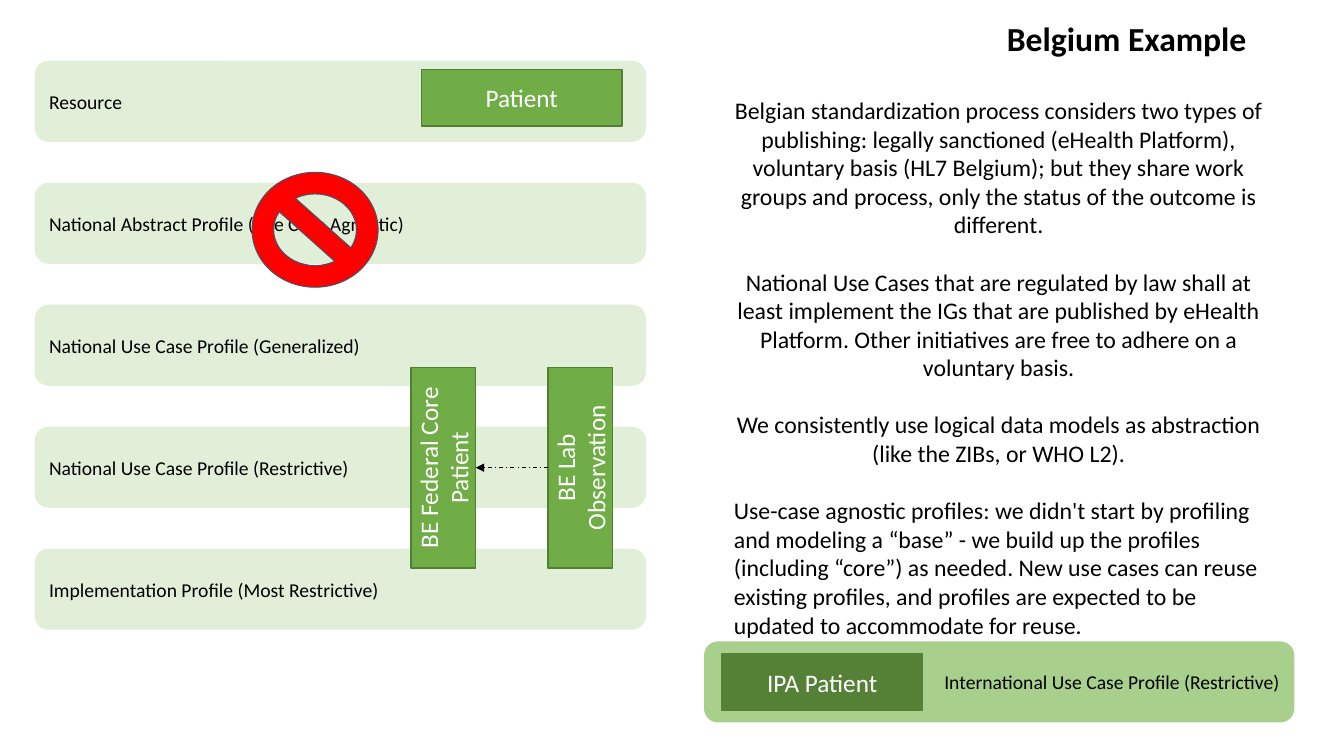
from dataclasses import dataclass

from lxml.etree import SubElement
from pptx import Presentation
from pptx.dml.color import RGBColor as RGB
from pptx.enum.dml import MSO_LINE as Dash
from pptx.enum.shapes import MSO_CONNECTOR as Link, MSO_SHAPE as Kind
from pptx.enum.text import MSO_ANCHOR as Anchor, MSO_AUTO_SIZE as Fit, PP_ALIGN as Align
from pptx.oxml.ns import qn
from pptx.util import Inches, Pt


@dataclass(frozen=True)
class Theme:
    font: str = "Calibri"
    ink: RGB = RGB.from_string("000000")
    white: RGB = RGB.from_string("FFFFFF")
    pale: RGB = RGB.from_string("E1EFD8")
    light: RGB = RGB.from_string("A8D08C")
    green: RGB = RGB.from_string("70AD47")
    edge: RGB = RGB.from_string("517E33")
    dark: RGB = RGB.from_string("548135")
    red: RGB = RGB.from_string("FF0000")
    slate: RGB = RGB.from_string("44546A")
    title_size: Pt = Pt(24)
    box_size: Pt = Pt(18)
    body_size: Pt = Pt(17)
    bar_size: Pt = Pt(14)
    paragraph_gap: Pt = Pt(20.5)


def apply(target, values):
    for name, value in values.items():
        setattr(target, name, value)


class SlideBuilder:
    def __init__(self, slide, theme):
        self.slide = slide
        self.theme = theme

    def fill_text(self, frame, text, size, color, align, anchor=Anchor.MIDDLE, bold=False):
        apply(frame, {"text": text, "word_wrap": True, "auto_size": Fit.NONE,
                      "vertical_anchor": anchor})
        for paragraph in frame.paragraphs:
            paragraph.alignment = align
            apply(paragraph.font, {"name": self.theme.font, "size": size, "bold": bold})
            paragraph.font.color.rgb = color

    def title(self, text, left, top, width, height):
        heading = self.slide.shapes.title
        apply(heading, {"left": Inches(left), "top": Inches(top),
                        "width": Inches(width), "height": Inches(height)})
        self.fill_text(heading.text_frame, text, self.theme.title_size, self.theme.ink,
                       Align.CENTER, Anchor.TOP, True)

    def shape(self, kind, area, fill, edge, weight=1):
        figure = self.slide.shapes.add_shape(kind, *map(Inches, area))
        figure.shadow.inherit = False
        figure.fill.solid()
        figure.fill.fore_color.rgb = fill
        figure.line.color.rgb = edge
        figure.line.width = Pt(weight)
        return figure

    def bar(self, text, area, fill, align=Align.LEFT):
        level = self.shape(Kind.ROUNDED_RECTANGLE, area, fill, fill)
        self.fill_text(level.text_frame, text, self.theme.bar_size, self.theme.ink, align)

    def profile(self, text, area, fill, edge, rotation=0):
        box = self.shape(Kind.RECTANGLE, area, fill, edge)
        box.rotation = rotation
        self.fill_text(box.text_frame, text, self.theme.box_size, self.theme.white,
                       Align.CENTER)

    def prohibition(self, area):
        sign = self.shape(Kind.NO_SYMBOL, area, self.theme.red, self.theme.slate, 0.75)
        sign.adjustments[0] = 0.188

    def body(self, paragraphs, area):
        notes = self.slide.shapes.add_textbox(*map(Inches, area)).text_frame
        self.fill_text(notes, "\n".join(paragraphs), self.theme.body_size, self.theme.ink,
                       Align.CENTER, Anchor.TOP)
        for paragraph in notes.paragraphs[1:]:
            paragraph.space_before = self.theme.paragraph_gap
        notes.paragraphs[-1].alignment = Align.LEFT

    def reference(self, start, end):
        arrow = self.slide.shapes.add_connector(Link.STRAIGHT, *map(Inches, start + end))
        arrow.line.color.rgb = self.theme.ink
        apply(arrow.line, {"width": Pt(0.75), "dash_style": Dash.DASH_DOT})
        properties = arrow.element.spPr
        SubElement(properties.find(qn("a:ln")), qn("a:tailEnd"), type="triangle")
        SubElement(properties, qn("a:effectLst"))


LEVELS = [
    "Resource",
    "National Abstract Profile (Use Case Agnostic)",
    "National Use Case Profile (Generalized)",
    "National Use Case Profile (Restrictive)",
    "Implementation Profile (Most Restrictive)",
]
APPROACH = [
    "Belgian standardization process considers two types of publishing: legally "
    "sanctioned (eHealth Platform), voluntary basis (HL7 Belgium); but they share work "
    "groups and process, only the status of the outcome is different.",
    "National Use Cases that are regulated by law shall at least implement the IGs that "
    "are published by eHealth Platform. Other initiatives are free to adhere on a "
    "voluntary basis.",
    "We consistently use logical data models as abstraction (like the ZIBs, or WHO L2).",
    "Use-case agnostic profiles: we didn't start by profiling and modeling a “base” - we "
    "build up the profiles (including “core”) as needed. New use cases can reuse existing "
    "profiles, and profiles are expected to be updated to accommodate for reuse.",
]


def main():
    deck = Presentation()
    apply(deck, {"slide_width": Inches(13.33), "slide_height": Inches(7.5)})
    theme = Theme()
    page = SlideBuilder(deck.slides.add_slide(deck.slide_layouts[5]), theme)

    page.title("Belgium Example", 9.05, 0.13, 4.25, 0.5)
    for row, level in enumerate(LEVELS):
        page.bar(level, (0.35, 0.61 + 1.21 * row, 6.05, 0.79), theme.pale)
    page.body(APPROACH, (7.18, 0.9, 5.45, 5.54))
    page.bar("International Use Case Profile (Restrictive)", (6.99, 6.37, 5.84, 0.79),
             theme.light, Align.RIGHT)

    page.profile("Patient", (4.18, 0.69, 1.99, 0.56), theme.green, theme.edge)
    page.profile("IPA Patient", (7.16, 6.49, 1.99, 0.56), theme.dark, theme.dark)
    for profile, left in (("BE Federal Core Patient", 3.4), ("BE Lab Observation", 4.76)):
        page.profile(profile, (left, 4.32, 1.99, 0.64), theme.green, theme.edge, 270)
    page.reference((5.44, 4.64), (4.72, 4.64))
    page.prohibition((2.5, 1.71, 1.25, 1.14))

    deck.save("out.pptx")


if __name__ == "__main__":
    main()
